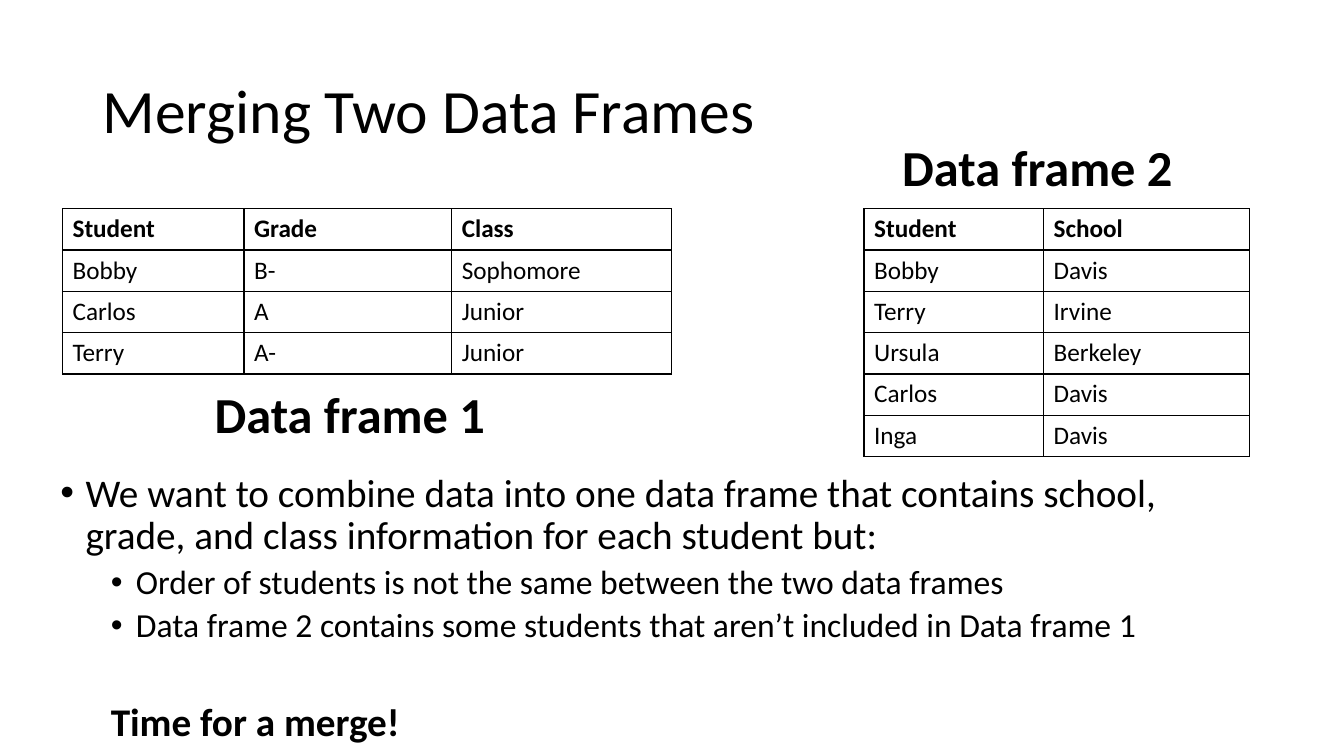
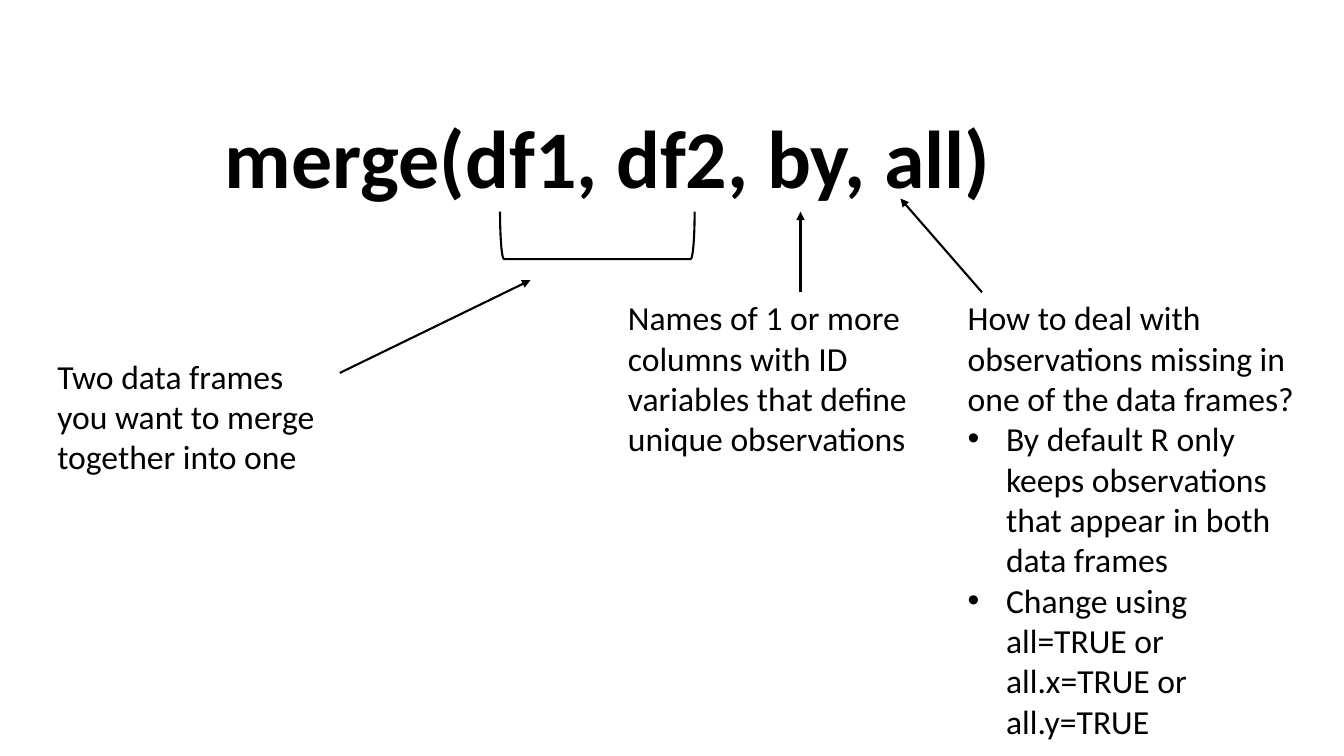
from dataclasses import dataclass
from lxml import etree
from pptx import Presentation
from pptx.dml.color import RGBColor
from pptx.enum.shapes import MSO_CONNECTOR, MSO_SHAPE
from pptx.enum.text import MSO_ANCHOR
from pptx.oxml.ns import qn
from pptx.util import Inches, Pt

LINE = MSO_CONNECTOR.STRAIGHT
BRACKET = MSO_SHAPE.LEFT_BRACKET
TOP, MIDDLE = MSO_ANCHOR.TOP, MSO_ANCHOR.MIDDLE

# Shared style
FONT, BLACK = "Calibri", "000000"
STROKE = 1.5
ROW = 0.41
TITLE = {"anchor": MIDDLE}
LABEL = {"wrap": False}


@dataclass(frozen=True)
class Para:
    text: str
    size: float
    bold: bool = False
    level: int = 0
    margin: float = 0
    hang: float = 0
    before: float = 0
    spacing: float = 1.0


@dataclass(frozen=True)
class Box:
    at: tuple[float, float, float, float]
    paras: tuple[Para, ...]
    anchor: int = TOP
    wrap: bool = True


@dataclass(frozen=True)
class Frame:
    left: float
    top: float
    widths: tuple[float, ...]
    rows: tuple[tuple[str, ...], ...]


@dataclass(frozen=True)
class Arrow:
    start: tuple[float, float]
    end: tuple[float, float]


def color(code: str) -> RGBColor:
    return RGBColor.from_string(code)


def apply(target, values: dict) -> None:
    for key, value in values.items():
        setattr(target, key, value)


def write(para, text: str, size: float, bold: bool) -> None:
    run = para.add_run()
    run.text = text
    apply(run.font, {"name": FONT, "size": Pt(size), "bold": bold})
    run.font.color.rgb = color(BLACK)


def indent(para, margin: float, hang: float) -> None:
    props = para._p.get_or_add_pPr()
    props.set("marL", str(Inches(margin)))
    props.set("indent", str(Inches(-hang)))
    if hang:
        etree.SubElement(props, qn("a:buFont"), typeface="Arial")
        etree.SubElement(props, qn("a:buChar"), char="•")


def add_box(slide, box: Box) -> None:
    frame = slide.shapes.add_textbox(*map(Inches, box.at)).text_frame
    apply(frame, {"word_wrap": box.wrap, "vertical_anchor": box.anchor})
    for i, item in enumerate(box.paras):
        para = frame.add_paragraph() if i else frame.paragraphs[0]
        indent(para, item.margin, item.hang)
        apply(para, {"level": item.level, "line_spacing": item.spacing,
                     "space_before": Pt(item.before)})
        write(para, item.text, item.size, item.bold)


def edge(cell) -> None:
    props = cell._tc.get_or_add_tcPr()
    for i, side in enumerate(("lnL", "lnR", "lnT", "lnB")):
        line = etree.Element(qn(f"a:{side}"), w=str(Pt(1)))
        fill = etree.SubElement(line, qn("a:solidFill"))
        etree.SubElement(fill, qn("a:srgbClr"), val=BLACK)
        props.insert(i, line)


def add_frame(slide, data: Frame) -> None:
    count = len(data.rows)
    table = slide.shapes.add_table(
        count, len(data.widths), Inches(data.left), Inches(data.top),
        Inches(sum(data.widths)), Inches(ROW * count)).table
    apply(table, {"first_row": False, "horz_banding": False})
    for column, width in zip(table.columns, data.widths):
        column.width = Inches(width)
    for r, row in enumerate(data.rows):
        table.rows[r].height = Inches(ROW)
        for c, text in enumerate(row):
            cell = table.cell(r, c)
            cell.fill.background()
            edge(cell)
            write(cell.text_frame.paragraphs[0], text, 18, r == 0)


def stroke(shape) -> None:
    shape.line.width = Pt(STROKE)
    shape.line.color.rgb = color(BLACK)


def add_arrow(slide, arrow: Arrow) -> None:
    line = slide.shapes.add_connector(
        LINE, *map(Inches, arrow.start + arrow.end))
    stroke(line)
    etree.SubElement(line.line._get_or_add_ln(), qn("a:tailEnd"),
                     type="triangle")
    etree.SubElement(line._element.spPr, qn("a:effectLst"))


def add_brace(slide, at: tuple[float, float, float, float]) -> None:
    shape = slide.shapes.add_shape(BRACKET, *map(Inches, at))
    shape.rotation = 270
    shape.shadow.inherit = False
    shape.fill.background()
    stroke(shape)


# Slide 1: the two data frames
FRAMES = (
    Frame(0.62, 2.07, (1.8, 2.06, 2.18), (
        ("Student", "Grade", "Class"),
        ("Bobby", "B-", "Sophomore"),
        ("Carlos", "A", "Junior"),
        ("Terry", "A-", "Junior"))),
    Frame(8.57, 2.07, (1.78, 2.04), (
        ("Student", "School"),
        ("Bobby", "Davis"),
        ("Terry", "Irvine"),
        ("Ursula", "Berkeley"),
        ("Carlos", "Davis"),
        ("Inga", "Davis"))),
)
SUB = {"level": 1, "margin": 0.75, "hang": 0.25, "before": 5, "spacing": 0.9}
POINTS = (
    Para("We want to combine data into one data frame that contains school, "
         "grade, and class information for each student but:",
         28, margin=0.25, hang=0.25, spacing=0.9),
    Para("Order of students is not the same between the two data frames",
         24, **SUB),
    Para("Data frame 2 contains some students that aren’t included in "
         "Data frame 1", 24, **SUB),
    Para("Time for a merge!", 28, True, level=1, margin=0.5, before=41,
         spacing=0.9),
)
DATA = (
    Box((0.92, 0.4, 11.5, 1.45),
        (Para("Merging Two Data Frames", 44, spacing=0.9),), **TITLE),
    Box((0.5, 4.65, 11.41, 3.06), POINTS),
    Box((2.03, 3.75, 2.91, 0.71), (Para("Data frame 1", 36, True),), **LABEL),
    Box((8.85, 1.3, 2.91, 0.71), (Para("Data frame 2", 36, True),), **LABEL),
)

# Slide 2: the parts of the call
ITEM = {"margin": 0.38, "hang": 0.38}
CALL = (
    Box((2.13, 0.88, 11.2, 1.45),
        (Para("merge(df1, df2, by, all)", 58.5, True, spacing=0.9),),
        **TITLE),
    Box((0.47, 3.48, 2.97, 1.31),
        (Para("Two data frames you want to merge together into one", 24),)),
    Box((6.13, 2.9, 3.44, 1.72),
        (Para("Names of 1 or more columns with ID variables that define "
              "unique observations", 24),)),
    Box((9.5, 2.9, 3.44, 4.55), (
        Para("How to deal with observations missing in one of the data "
             "frames?", 24),
        Para("By default R only keeps observations that appear in both data "
             "frames", 24, **ITEM),
        Para("Change using all=TRUE or all.x=TRUE or all.y=TRUE",
             24, **ITEM))),
)
ARROWS = (
    Arrow((3.37, 3.7), (5.26, 2.78)),
    Arrow((7.94, 2.9), (7.94, 2.1)),
    Arrow((9.74, 2.9), (8.93, 1.97)),
)


def main() -> None:
    deck = Presentation()
    apply(deck, {"slide_width": Inches(13.33), "slide_height": Inches(7.5)})
    blank = deck.slide_layouts[6]
    first, second = (deck.slides.add_slide(blank) for _ in range(2))

    for data in FRAMES:
        add_frame(first, data)
    for slide, boxes in ((first, DATA), (second, CALL)):
        for box in boxes:
            add_box(slide, box)
    add_brace(second, (5.69, 1.37, 0.47, 1.93))
    for arrow in ARROWS:
        add_arrow(second, arrow)

    deck.save("out.pptx")


if __name__ == "__main__":
    main()
